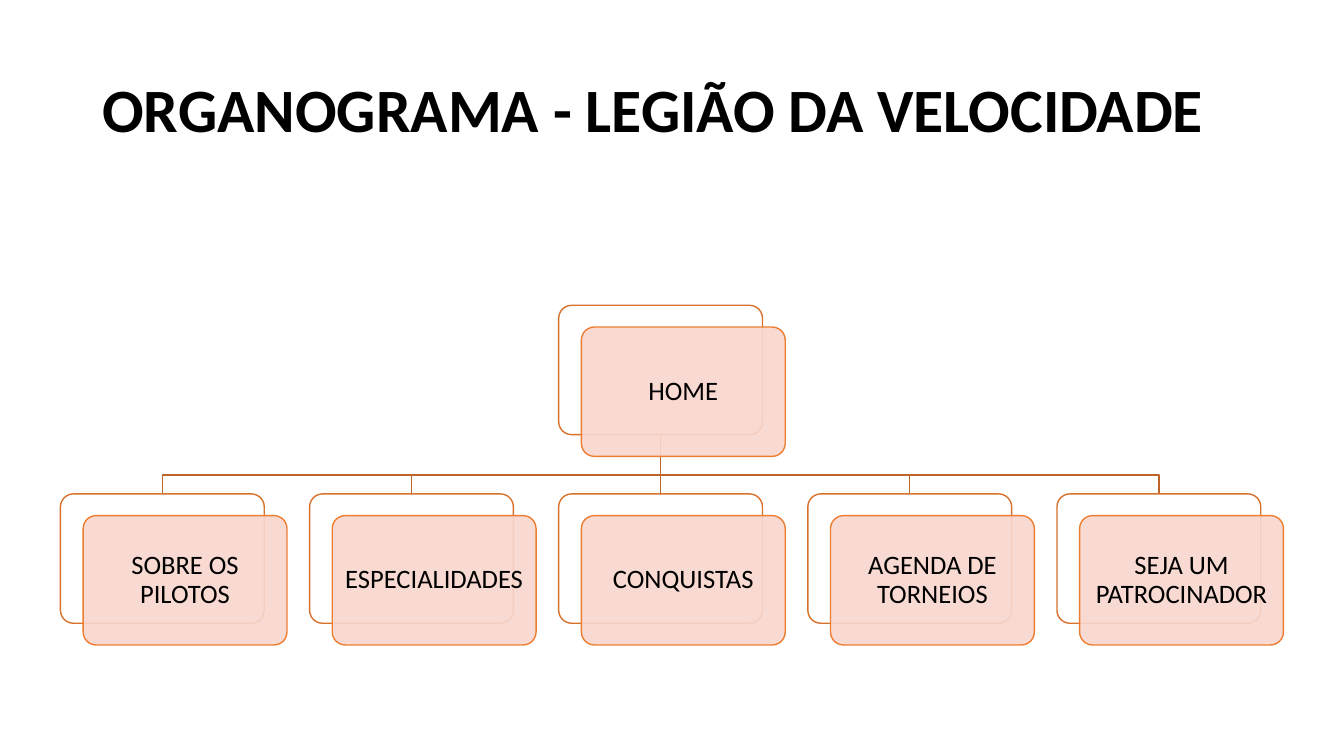
from collections import namedtuple

from lxml.etree import SubElement
from pptx import Presentation
from pptx.dml.color import RGBColor
from pptx.enum.shapes import MSO_CONNECTOR, MSO_SHAPE
from pptx.enum.text import MSO_ANCHOR, PP_ALIGN
from pptx.oxml.ns import qn
from pptx.util import Pt

COLORS = {
    "text": "000000",
    "back_fill": "FFFFFF",
    "back_line": "D7712C",
    "front_fill": "F8D7CE",
    "front_line": "ED7D31",
    "link": "BE6427",
}
FONT = "Calibri"
ROOT = "HOME"
SECTIONS = [
    "SOBRE OS PILOTOS",
    "ESPECIALIDADES",
    "CONQUISTAS",
    "AGENDA DE TORNEIOS",
    "SEJA UM PATROCINADOR",
]
CARD_WIDTH, CARD_HEIGHT = 145.6, 92.4
SHIFT_X, SHIFT_Y = 16.2, 15.5
LINK_DROP = 28.9

Box = namedtuple("Box", "left top width height")


def color(name):
    return RGBColor.from_string(COLORS[name])


def write(shape, text, size, bold=False, align=PP_ALIGN.LEFT):
    frame = shape.text_frame
    frame.word_wrap = True
    para = frame.paragraphs[0]
    para.text = text
    para.alignment = align
    para.line_spacing = 0.9
    para.font.name = FONT
    para.font.size = Pt(size)
    para.font.bold = bold
    para.font.color.rgb = color("text")
    return frame


def add_title(page, box, text):
    title = page.shapes.add_textbox(*map(Pt, box))
    frame = write(title, text, 44, bold=True)
    frame.vertical_anchor = MSO_ANCHOR.BOTTOM


def add_panel(page, box, layer):
    panel = page.shapes.add_shape(MSO_SHAPE.ROUNDED_RECTANGLE, *map(Pt, box))
    panel.adjustments[0] = 0.1
    panel.shadow.inherit = False
    panel.fill.solid()
    panel.fill.fore_color.rgb = color(layer + "_fill")
    panel.line.color.rgb = color(layer + "_line")
    panel.line.width = Pt(1)
    return panel


def add_label(page, box, text):
    front_box = box._replace(left=box.left + SHIFT_X, top=box.top + SHIFT_Y)
    panel = add_panel(page, front_box, "front")
    fill_color = panel._element.spPr.find(qn("a:solidFill")).find(qn("a:srgbClr"))
    SubElement(fill_color, qn("a:alpha"), val="90000")
    frame = write(panel, text, 19, align=PP_ALIGN.CENTER)
    frame.margin_left = frame.margin_right = Pt(5)
    frame.margin_top = frame.margin_bottom = Pt(5)
    frame.vertical_anchor = MSO_ANCHOR.MIDDLE


def add_straight_link(page, parent, child):
    link = page.shapes.add_connector(MSO_CONNECTOR.STRAIGHT, 0, 0, 0, 0)
    link.begin_connect(parent, 2)
    link.end_connect(child, 0)
    link.line.color.rgb = color("link")
    link.line.width = Pt(1)
    SubElement(link._element.spPr, qn("a:effectLst"))


def add_bent_link(page, parent_box, child_box):
    start_x = Pt(parent_box.left + parent_box.width / 2)
    start_y = Pt(parent_box.top + parent_box.height)
    end_x = Pt(child_box.left + child_box.width / 2)
    bend_y = start_y + Pt(LINK_DROP)
    outline = page.shapes.build_freeform(start_x, start_y)
    outline.add_line_segments(
        [(start_x, bend_y), (end_x, bend_y), (end_x, Pt(child_box.top))],
        close=False,
    )
    link = outline.convert_to_shape()
    link.shadow.inherit = False
    link.fill.background()
    link.line.color.rgb = color("link")
    link.line.width = Pt(1)


def add_chart_tree(page, box):
    pitch = (box.width - SHIFT_X - CARD_WIDTH) / (len(SECTIONS) - 1)
    middle = len(SECTIONS) // 2
    child_top = box.top + box.height - SHIFT_Y - CARD_HEIGHT
    child_boxes = [
        Box(box.left + index * pitch, child_top, CARD_WIDTH, CARD_HEIGHT)
        for index in range(len(SECTIONS))
    ]
    root_box = child_boxes[middle]._replace(top=box.top)

    for index, child_box in enumerate(child_boxes):
        if index != middle:
            add_bent_link(page, root_box, child_box)
    root = add_panel(page, root_box, "back")
    children = [add_panel(page, child_box, "back") for child_box in child_boxes]
    add_straight_link(page, root, children[middle])
    for card_box, text in zip([root_box] + child_boxes, [ROOT] + SECTIONS):
        add_label(page, card_box, text)


def main():
    deck = Presentation()
    deck.slide_width, deck.slide_height = Pt(960), Pt(540)
    page = deck.slides.add_slide(deck.slide_layouts[6])
    add_chart_tree(page, Box(43.2, 218.1, 873.6, 242.6))
    add_title(page, Box(66, 28.8, 828, 79.2), "ORGANOGRAMA - LEGIÃO DA VELOCIDADE")
    deck.save("out.pptx")


if __name__ == "__main__":
    main()
